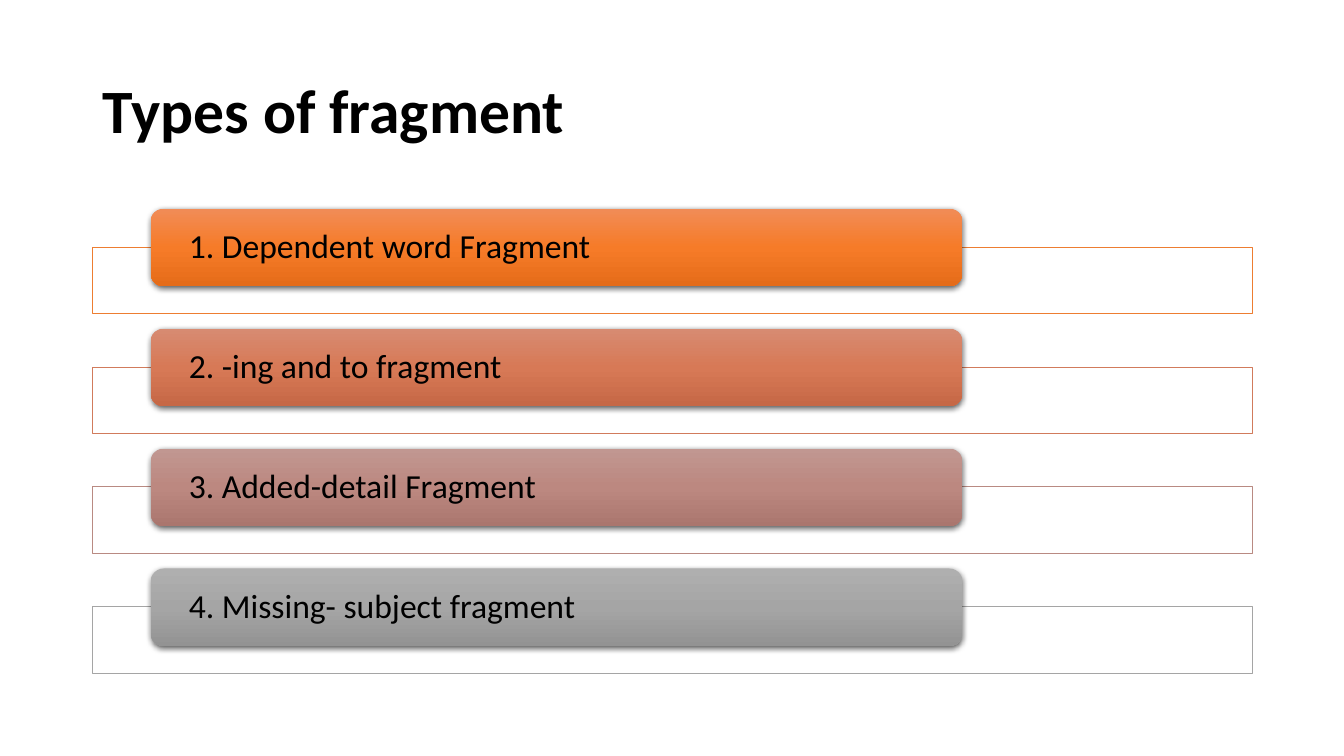
import pptx
import pptx.util
import pptx.dml.color
import pptx.enum.shapes
import pptx.enum.text
import pptx.oxml
import pptx.oxml.ns
from dataclasses import dataclass

Inches, Pt = pptx.util.Inches, pptx.util.Pt
RGB = pptx.dml.color.RGBColor.from_string
SHAPE = pptx.enum.shapes.MSO_SHAPE

TITLE = "Types of fragment"
# label, frame line colour, bar gradient from top to bottom
FRAGMENTS = [
    ("1. Dependent word Fragment", "ED7D31", ("F18C57", "F67B28", "E56C19")),
    ("2. -ing and to fragment", "D17B5C", ("D78B72", "D77956", "C66846")),
    ("3. Added-detail Fragment", "B98A82", ("C19791", "BC8880", "AA766E")),
    ("4. Missing- subject fragment", "A5A5A5", ("AFAFAF", "A5A5A5", "939393")),
]


@dataclass(frozen=True)
class Theme:
    font: str = "Calibri"
    text: str = "000000"
    paper: str = "FFFFFF"
    title_size: int = 44
    label_size: int = 24
    frame_line: float = 0.5


THEME = Theme()
SLIDE_W, SLIDE_H = 13.33, 7.5
LEFT, WIDTH = 0.92, 11.5
TITLE_TOP, TITLE_H = 0.4, 1.45
FIRST_ROW, ROW_PITCH = 2.07, 1.19
BAR_LEFT, BAR_W, BAR_H = LEFT + 0.05 * WIDTH, 0.7 * WIDTH, 0.77
FRAME_DROP, FRAME_H = 0.38, 0.66
BAR_INSET = 0.34


def element(tag, attributes="", inner=""):
    ns = pptx.oxml.ns.nsdecls("a")
    return pptx.oxml.parse_xml(f"<a:{tag} {ns} {attributes}>{inner}</a:{tag}>")


def write(sp, text, size, bold=False, inset=0.1):
    tf = sp.text_frame
    tf.word_wrap = True
    tf.vertical_anchor = pptx.enum.text.MSO_ANCHOR.MIDDLE
    tf.margin_left = tf.margin_right = Inches(inset)
    p = tf.paragraphs[0]
    p.alignment = pptx.enum.text.PP_ALIGN.LEFT
    p.line_spacing = 0.9
    r = p.add_run()
    r.text = text
    r.font.name, r.font.size, r.font.bold = THEME.font, Pt(size), bold
    r.font.color.rgb = RGB(THEME.text)


def add_box(slide, kind, *place):
    sp = slide.shapes.add_shape(kind, *map(Inches, place))
    sp.shadow.inherit = False
    return sp


def add_frame(slide, top, color):
    sp = add_box(slide, SHAPE.RECTANGLE, LEFT, top, WIDTH, FRAME_H)
    sp.fill.solid()
    sp.fill.fore_color.rgb = RGB(THEME.paper)
    fill_color = sp._element.spPr.find(".//" + pptx.oxml.ns.qn("a:srgbClr"))
    fill_color.append(element("alpha", 'val="90000"'))
    sp.line.color.rgb = RGB(color)
    sp.line.width = Pt(THEME.frame_line)


def add_bar(slide, top, label, colors):
    sp = add_box(slide, SHAPE.ROUNDED_RECTANGLE, BAR_LEFT, top, BAR_W, BAR_H)
    sp.line.fill.background()
    sp.fill.gradient()
    sp.fill.gradient_angle = 270
    spPr = sp._element.spPr
    stops = spPr.find(".//" + pptx.oxml.ns.qn("a:gsLst"))
    for stop in list(stops):
        stops.remove(stop)
    for i, color in enumerate(colors):
        stops.append(element("gs", f'pos="{i * 50000}"', f'<a:srgbClr val="{color}"/>'))
    spPr.find(pptx.oxml.ns.qn("a:effectLst")).append(element(
        "outerShdw",
        f'blurRad="{Pt(4.5)}" dist="{Pt(1.5)}" dir="5400000" algn="ctr" rotWithShape="0"',
        '<a:srgbClr val="000000"><a:alpha val="63000"/></a:srgbClr>'))
    write(sp, label, THEME.label_size, inset=BAR_INSET)


def main():
    prs = pptx.Presentation()
    prs.slide_width, prs.slide_height = Inches(SLIDE_W), Inches(SLIDE_H)
    slide = prs.slides.add_slide(prs.slide_layouts[5])
    title = slide.shapes.title
    title.left, title.top = Inches(LEFT), Inches(TITLE_TOP)
    title.width, title.height = Inches(WIDTH), Inches(TITLE_H)
    write(title, TITLE, THEME.title_size, bold=True)
    for row, (label, line, colors) in enumerate(FRAGMENTS):
        top = FIRST_ROW + row * ROW_PITCH
        add_frame(slide, top + FRAME_DROP, line)
        add_bar(slide, top, label, colors)
    prs.save("out.pptx")


if __name__ == "__main__":
    main()
